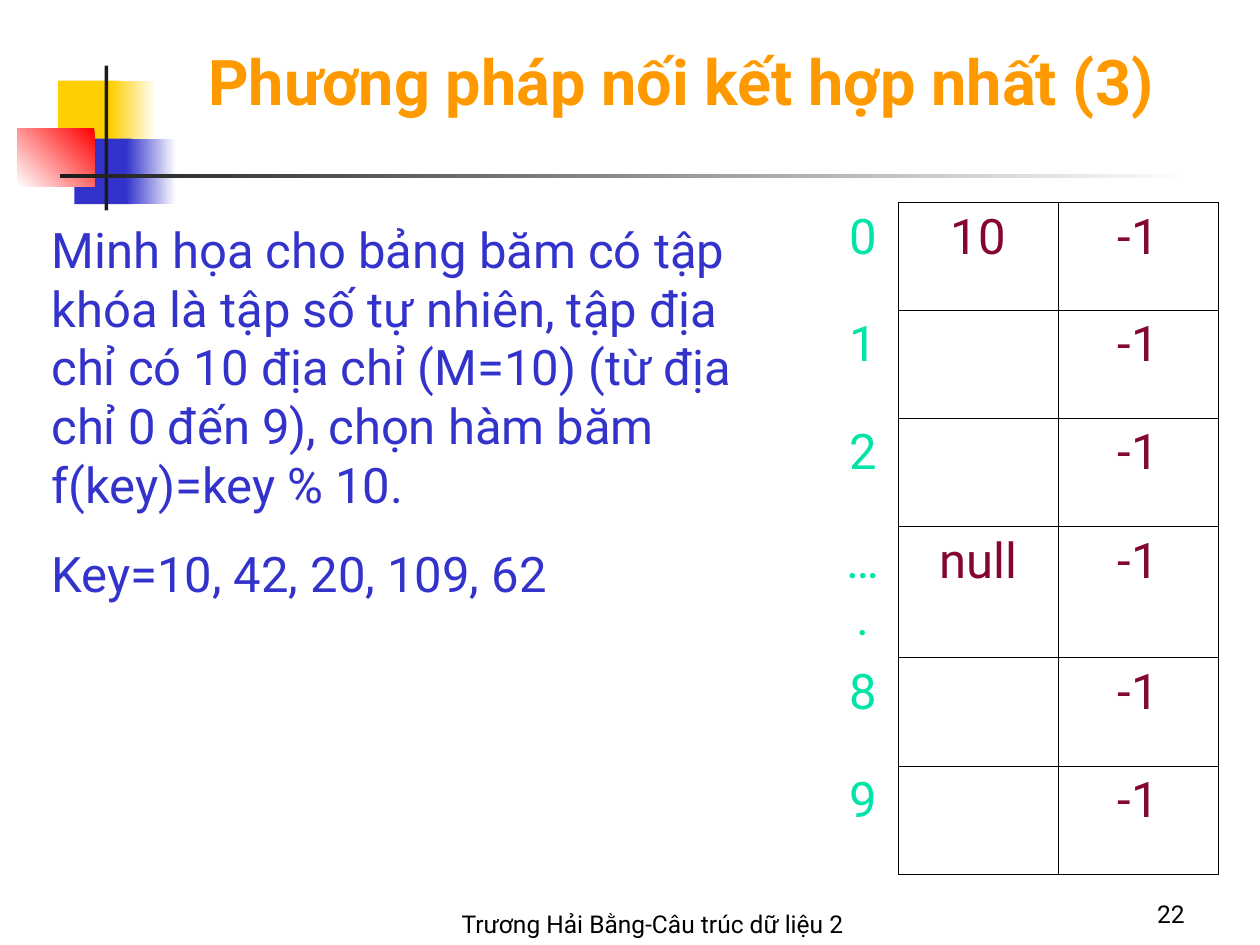
from pptx import Presentation
from pptx import util as u
from pptx.dml.color import RGBColor
from pptx.enum import shapes, text
from pptx.oxml import parse_xml
from pptx.oxml.ns import nsdecls

# Content
TITLE = "Phương pháp nối kết hợp nhất (3)"
BODY = [
    "Minh họa cho bảng băm có tập khóa là tập số tự nhiên, tập địa chỉ có "
    "10 địa chỉ (M=10) (từ địa chỉ 0 đến 9), chọn hàm băm f(key)=key % 10.",
    "Key=10, 42, 20, 109, 62",
]
FOOTER = "Trương Hải Bằng-Câu trúc dữ liệu 2"
PAGE_NUMBER = "22"
HASH_ROWS = [  # address, key, next
    ("0", "10", "-1"),
    ("1", "", "-1"),
    ("2", "", "-1"),
    ("….", "null", "-1"),
    ("8", "", "-1"),
    ("9", "", "-1"),
]
COLUMN_WIDTHS = [0.56, 1.27, 1.27]
ROW_HEIGHTS = [0.85, 0.86, 0.86, 1.04, 0.86, 0.86]

THEME = {
    "font": "Roboto",
    "title": ("FF9900", 36), "body": ("3333CC", 28), "small": ("000000", 14),
    "address": ("00E4A8", 28), "value": ("830730", 28),
    "yellow": "FFCF01", "blue": "3333CC", "red": "FF0000",
    "dark": "1C1C1C", "white": "FFFFFF", "border": "000000",
}

# Corner ornament: left, top, width, height, colours, gradient angle
ORNAMENT = [
    (0.46, 0.64, 0.48, 0.52, ["yellow"], None),
    (0.88, 0.64, 0.36, 0.52, ["white", "yellow"], 180),
    (0.59, 1.10, 0.46, 0.52, ["blue"], None),
    (1.00, 1.10, 0.40, 0.52, ["white", "blue"], 180),
    (0.14, 1.02, 0.61, 0.46, ["red", "white"], 225),
    (0.83, 0.52, 0.03, 1.15, ["dark"], None),
    (0.48, 1.38, 9.00, 0.03, ["white", "dark"], 180),
]


def colour(name):
    return RGBColor.from_string(THEME[name])


def write(para, words, style, align, bold=False):
    value, size = THEME[style]
    para.alignment = align
    span = para.add_run()
    span.text = words
    span.font.name = THEME["font"]
    span.font.size = u.Pt(size)
    span.font.bold = bold
    span.font.color.rgb = RGBColor.from_string(value)


def add_text(slide, place, paragraphs, style, align, anchor, bold=False):
    box = slide.shapes.add_textbox(*map(u.Inches, place))
    frame = box.text_frame
    frame.word_wrap = True
    frame.vertical_anchor = anchor
    for index, words in enumerate(paragraphs):
        para = frame.add_paragraph() if index else frame.paragraphs[0]
        if index:
            para.space_before = u.Pt(17.5)
        write(para, words, style, align, bold)
    return box


def add_ornament(slide):
    for *place, colours, angle in ORNAMENT:
        block = slide.shapes.add_shape(
            shapes.MSO_SHAPE.RECTANGLE, *map(u.Inches, place))
        block.shadow.inherit = False
        block.line.fill.background()
        if angle is None:
            block.fill.solid()
            block.fill.fore_color.rgb = colour(colours[0])
        else:
            block.fill.gradient()
            block.fill.gradient_angle = angle
            for stop, name in zip(block.fill.gradient_stops, colours):
                stop.color.rgb = colour(name)


def set_borders(cell, visible):
    properties = cell._tc.get_or_add_tcPr()
    for index, side in enumerate("LRTB"):
        paint = "<a:noFill/>"
        if side in visible:
            paint = (f'<a:solidFill><a:srgbClr val="{THEME["border"]}"/>'
                     "</a:solidFill>")
        properties.insert(index, parse_xml(
            f'<a:ln{side} {nsdecls("a")} w="{u.Pt(0.45)}">{paint}</a:ln{side}>'))


def add_hash_table(slide):
    frame = slide.shapes.add_table(
        len(HASH_ROWS), len(COLUMN_WIDTHS), u.Inches(6.57), u.Inches(1.61),
        u.Inches(sum(COLUMN_WIDTHS)), u.Inches(sum(ROW_HEIGHTS)))
    table = frame.table
    table.first_row = table.horz_banding = False
    for column, width in zip(table.columns, COLUMN_WIDTHS):
        column.width = u.Inches(width)
    for row, height, values in zip(table.rows, ROW_HEIGHTS, HASH_ROWS):
        row.height = u.Inches(height)
        for index, (cell, words) in enumerate(zip(row.cells, values)):
            cell.fill.background()
            set_borders(cell, "LRTB" if index else "R")
            if words:
                write(cell.text_frame.paragraphs[0], words,
                      "value" if index else "address", text.PP_ALIGN.CENTER)


def main():
    deck = Presentation()
    deck.slide_width, deck.slide_height = u.Inches(10), u.Inches(7.5)
    slide = deck.slides.add_slide(deck.slide_layouts[6])
    align, anchor = text.PP_ALIGN, text.MSO_ANCHOR

    add_ornament(slide)
    add_text(slide, (0.81, 0, 9.19, 0.99), [TITLE], "title",
             align.CENTER, anchor.BOTTOM, bold=True)
    add_hash_table(slide)
    body = add_text(slide, (0.31, 1.69, 5.99, 3.15), BODY, "body",
                    align.LEFT, anchor.TOP)
    body.text_frame.auto_size = text.MSO_AUTO_SIZE.SHAPE_TO_FIT_TEXT

    # Footer and page number
    add_text(slide, (3.12, 6.92, 4.12, 0.58), [FOOTER], "small",
             align.CENTER, anchor.BOTTOM)
    add_text(slide, (7.42, 6.92, 2.08, 0.5), [PAGE_NUMBER], "small",
             align.RIGHT, anchor.BOTTOM)
    deck.save("out.pptx")


if __name__ == "__main__":
    main()
